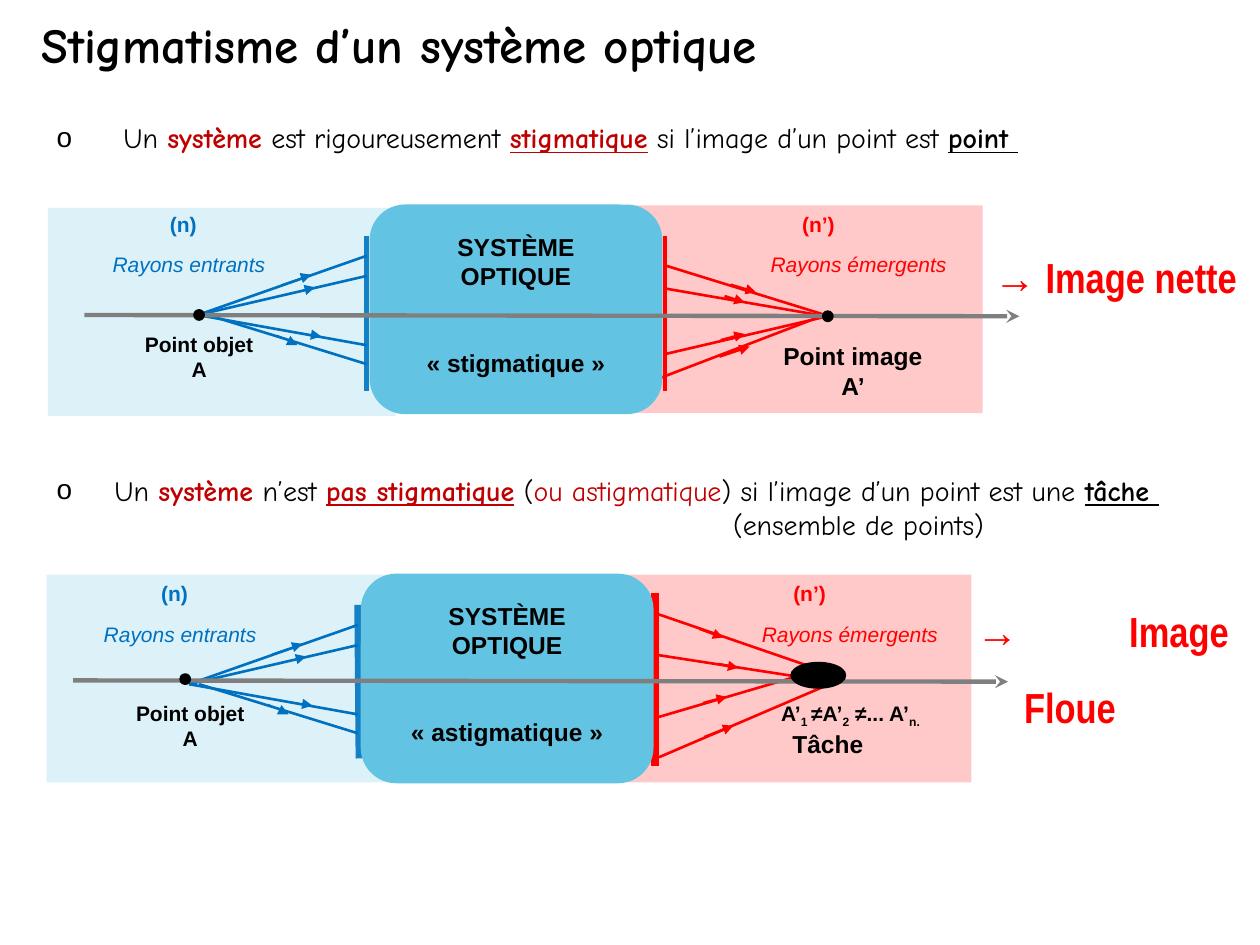
from lxml.etree import SubElement
from pptx import Presentation
from pptx.dml.color import RGBColor
from pptx.enum.shapes import MSO_CONNECTOR as Connector, MSO_SHAPE as Shape
from pptx.enum.text import MSO_ANCHOR as Anchor, PP_ALIGN as Align
from pptx.oxml.ns import qn
from pptx.util import Inches, Pt

BLACK, BLUE, RED, DARK_RED = "000000", "0070C0", "FF0000", "C00000"
CYAN, GREY = "62C4E2", "7F7F7F"

PLAIN = dict(size=16, name="Comic Neue", color=BLACK)
STRONG = dict(PLAIN, bold=True)
KEY = dict(STRONG, color=DARK_RED)
UNDER = dict(underline=True)
LABEL = dict(size=12, name="Arial", color=BLACK, bold=True)
LARGE = dict(LABEL, size=14)
SUB = dict(LABEL, baseline="-25000")
VERDICT = dict(LABEL, size=24, color=RED)

# Each bullet: top, height, hanging indent, runs
BULLETS = [
    (0.91, 0.37, 0.53, [
        ("Un ", PLAIN), ("système", KEY), (" est rigoureusement ", PLAIN),
        ("stigmatique", KEY | UNDER), (" si l’image d’un point est ", PLAIN),
        ("point ", STRONG | UNDER)]),
    (3.71, 0.67, 0.46, [
        ("Un ", PLAIN), ("système", KEY), (" n’est ", PLAIN),
        ("pas stigmatique", KEY | UNDER), (" (", PLAIN),
        ("ou astigmatique", dict(PLAIN, color=DARK_RED)),
        (") si l’image d’un point est une ", PLAIN), ("tâche ", STRONG | UNDER)]),
]
SECOND_LINE, SECOND_LINE_INDENT = "(ensemble de points)", 5.37

# Parts shared by both diagrams, placed for the first one
SHARED_LABELS = [
    ((0.55, 1.63, 1.81, 0.3), ["(n)"], dict(LABEL, color=BLUE)),
    ((5.59, 1.63, 1.81, 0.3), ["(n’)"], dict(LABEL, color=RED)),
    ((0.79, 1.95, 1.42, 0.3), ["Rayons entrants"],
     dict(LABEL, color=BLUE, bold=False, italic=True)),
    ((5.91, 1.95, 1.81, 0.3), ["Rayons émergents"],
     dict(LABEL, color=RED, bold=False, italic=True)),
    ((0.87, 2.58, 1.42, 0.5), ["Point objet", "A"], LABEL),
]
SYSTEM, SYSTEM_TEXT = (2.94, 1.63, 2.31, 1.65), (3.15, 1.79, 1.89, 1.27)
INCOMING = [(1.57, 2.5, 2.91, 2.03), (1.57, 2.5, 2.91, 2.19),
            (1.57, 2.5, 2.91, 2.74), (1.65, 2.5, 2.91, 2.89)]
INCOMING_ARROWS = [(2.23, 2.26, 2.47, 2.18), (2.31, 2.33, 2.5, 2.28),
                   (2.31, 2.63, 2.55, 2.67), (2.2, 2.66, 2.36, 2.74)]

DIAGRAMS = [
    dict(
        offset=(0, 0), kind="« stigmatique »",
        screens=[((2.91, 1.87, 2.91, 3.1), BLUE, 2.5),
                 ((5.28, 1.87, 5.28, 3.1), RED, 2.5)],
        media=[((0.38, 1.65, 2.76, 1.65), CYAN), ((5.04, 1.63, 2.76, 1.65), RED)],
        outgoing=[(5.24, 3, 6.57, 2.49), (5.28, 2.81, 6.61, 2.5),
                  (5.28, 2.29, 6.61, 2.52), (5.29, 2.11, 6.55, 2.5)],
        outgoing_arrows=[(5.71, 2.83, 5.95, 2.75), (5.72, 2.7, 5.91, 2.65),
                         (5.75, 2.35, 5.91, 2.4), (5.8, 2.26, 6, 2.32)],
        axis=(0.67, 2.5, 8.09, 2.51),
        points=[(1.54, 2.46, 0.08, 0.08), (6.53, 2.47, 0.08, 0.08)],
        labels=[((6.06, 2.66, 1.42, 0.57), Align.CENTER,
                 [[("Point image", LARGE)], [("A’", LARGE)]])],
        verdict=((7.79, 1.75, 2.2, 0.7), "Image nette")),
    dict(
        offset=(-0.07, 2.93), kind="« astigmatique »",
        screens=[((2.84, 4.8, 2.85, 6.02), BLUE, 4),
                 ((5.2, 4.71, 5.2, 6.08), RED, 4.75)],
        media=[((0.37, 4.56, 2.76, 1.65), CYAN), ((4.98, 4.56, 2.73, 1.65), RED)],
        outgoing=[(5.21, 4.87, 6.46, 5.3), (5.23, 5.2, 6.65, 5.42),
                  (5.23, 5.69, 6.49, 5.32), (5.23, 6.01, 6.63, 5.41)],
        outgoing_arrows=[(5.59, 5.85, 5.82, 5.76), (5.55, 4.99, 5.74, 5.06),
                         (5.58, 5.58, 5.77, 5.53), (5.7, 5.27, 5.86, 5.3)],
        axis=(0.58, 5.4, 8, 5.41),
        points=[(1.43, 5.35, 0.08, 0.08), (6.28, 5.26, 0.43, 0.2)],
        labels=[((5.86, 5.74, 1.42, 0.34), Align.CENTER, [[("Tâche", LARGE)]]),
                ((6.1, 5.51, 0.79, 0.33), Align.LEFT,
                 [[("A’", LABEL), ("1", SUB)]]),
                ((6.34, 5.51, 1.34, 0.33), Align.LEFT,
                 [[("≠A’", LABEL), ("2", SUB), (" ≠... A’", LABEL), ("n.", SUB)]])],
        verdict=((7.65, 4.56, 2.2, 0.7), "Image Floue")),
]


def rgb(color):
    return RGBColor.from_string(color)


def add_text(page, at, paras, align=Align.LEFT, anchor=Anchor.TOP):
    """Add a text box; each paragraph is a list of (text, format) runs."""
    frame = page.shapes.add_textbox(*map(Inches, at)).text_frame
    frame.word_wrap = True
    frame.vertical_anchor = anchor
    for index, spans in enumerate(paras):
        para = frame.paragraphs[0] if index == 0 else frame.add_paragraph()
        para.alignment = align
        for text, look in spans:
            span = para.add_run()
            span.text = text
            for key, value in look.items():
                if key == "color":
                    span.font.color.rgb = rgb(value)
                elif key == "baseline":
                    span.font._element.set(key, value)
                else:
                    setattr(span.font, key, Pt(value) if key == "size" else value)
    return frame.paragraphs


def set_indent(para, left, first=0):
    props = para._p.get_or_add_pPr()
    props.set("marL", str(Inches(left)))
    props.set("indent", str(Inches(first)))
    return props


def add_line(page, ends, color, width, arrow=None):
    line = page.shapes.add_connector(Connector.STRAIGHT, *map(Inches, ends))
    line.line.color.rgb = rgb(color)
    line.line.width = Pt(width)
    if arrow:
        SubElement(line.line._get_or_add_ln(), qn("a:tailEnd"), type=arrow)
    SubElement(line._element.spPr, qn("a:effectLst"))


def add_filled(page, kind, at, color, alpha=None):
    """Add a filled shape: outlined if opaque, without outline if see-through."""
    shape = page.shapes.add_shape(kind, *map(Inches, at))
    shape.shadow.inherit = False
    shape.fill.solid()
    shape.fill.fore_color.rgb = rgb(color)
    if alpha:
        tint = shape._element.spPr.find(".//" + qn("a:srgbClr"))
        SubElement(tint, qn("a:alpha"), val=str(alpha * 1000))
        shape.line.fill.background()
    else:
        shape.line.color.rgb = rgb(color)
        shape.line.width = Pt(1)


def add_bullet(page, top, height, indent, spans, extra=None):
    paras = [spans] + ([[(extra, PLAIN)]] if extra else [])
    first, *rest = add_text(page, (0.35, top, 9.65, height), paras)
    props = set_indent(first, indent, -indent)
    tint = SubElement(props, qn("a:buClr"))
    SubElement(tint, qn("a:srgbClr"), val=BLACK)
    SubElement(props, qn("a:buFont"), typeface="Arial")
    SubElement(props, qn("a:buChar"), char="o")
    for para in rest:
        set_indent(para, SECOND_LINE_INDENT)


def add_diagram(page, part):
    dx, dy = part["offset"]

    def moved(at):
        return at[0] + dx, at[1] + dy, *at[2:]

    def moved_ends(ends):
        return ends[0] + dx, ends[1] + dy, ends[2] + dx, ends[3] + dy

    for ends, color, width in part["screens"]:
        add_line(page, ends, color, width)
    for at, color in part["media"]:
        add_filled(page, Shape.RECTANGLE, at, color, alpha=21)
    for rays, color, width, arrow in (
            (map(moved_ends, INCOMING), BLUE, 1.5, None),
            (map(moved_ends, INCOMING_ARROWS), BLUE, 0.5, "triangle"),
            (part["outgoing"], RED, 1.5, None),
            (part["outgoing_arrows"], RED, 1.5, "triangle")):
        for ends in rays:
            add_line(page, ends, color, width, arrow)
    add_filled(page, Shape.ROUNDED_RECTANGLE, moved(SYSTEM), CYAN)
    add_line(page, part["axis"], GREY, 2.5, "stealth")
    for at, lines, look in SHARED_LABELS:
        add_text(page, moved(at), [[(line, look)] for line in lines], Align.CENTER)
    for at, align, paras in part["labels"]:
        add_text(page, at, paras, align)
    names = [[("SYSTÈME OPTIQUE", LARGE)], [(part["kind"], LARGE)]]
    add_text(page, moved(SYSTEM_TEXT), names, Align.CENTER)[1].space_before = Pt(33)
    for at in part["points"]:
        add_filled(page, Shape.OVAL, at, BLACK)
    at, verdict = part["verdict"]
    spans = [("→", VERDICT), (" " + verdict, dict(VERDICT, name="Arial Narrow"))]
    para = add_text(page, at, [spans], Align.JUSTIFY)[0]
    para.line_spacing = 1.5
    set_indent(para, 0.38, -0.38)


deck = Presentation()
deck.slide_width, deck.slide_height = Inches(10), Inches(7.5)
page = deck.slides.add_slide(deck.slide_layouts[6])
title = [("Stigmatisme d’un système optique", dict(STRONG, size=28))]
add_text(page, (0.23, -0.38, 8.63, 1.45), [title], anchor=Anchor.MIDDLE)
for bullet, extra, diagram in zip(BULLETS, (None, SECOND_LINE), DIAGRAMS):
    add_bullet(page, *bullet, extra)
    add_diagram(page, diagram)
deck.save("out.pptx")
